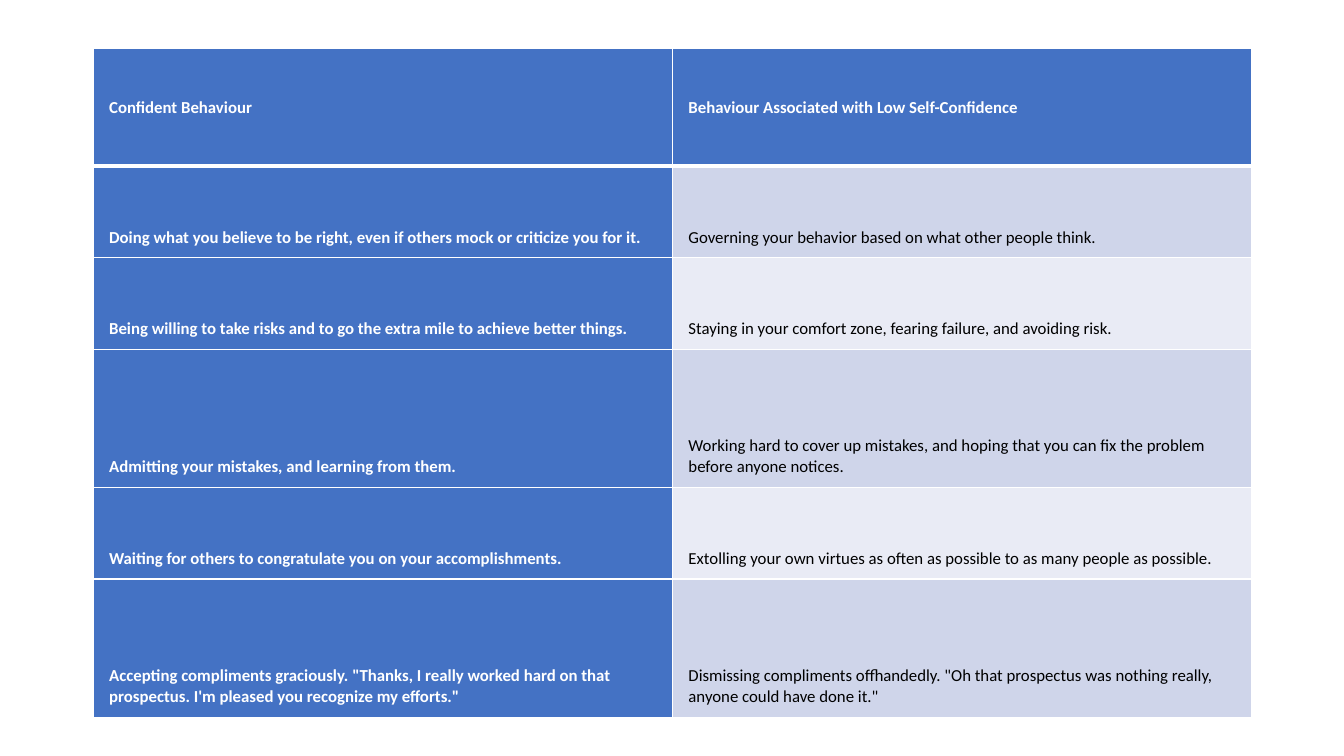
from pptx import Presentation
from pptx.dml.color import RGBColor as Rgb
from pptx.enum.text import MSO_ANCHOR as Anchor
from pptx.oxml.ns import qn
from pptx.util import Cm, Pt
from lxml.etree import SubElement as Sub

# Content: confident behaviour, low self-confidence
ROWS = [
    ("Confident Behaviour", "Behaviour Associated with Low Self-Confidence"),
    ("Doing what you believe to be right, even if others mock or criticize you for it.",
     "Governing your behavior based on what other people think."),
    ("Being willing to take risks and to go the extra mile to achieve better things.",
     "Staying in your comfort zone, fearing failure, and avoiding risk."),
    ("Admitting your mistakes, and learning from them.",
     "Working hard to cover up mistakes, and hoping that you can fix the problem before anyone notices."),
    ("Waiting for others to congratulate you on your accomplishments.",
     "Extolling your own virtues as often as possible to as many people as possible."),
    ("Accepting compliments graciously. \"Thanks, I really worked hard on that prospectus. "
     "I'm pleased you recognize my efforts.\"",
     "Dismissing compliments offhandedly. \"Oh that prospectus was nothing really, "
     "anyone could have done it.\""),
]
HEAD, LOW, TALL = 2.95, 2.31, 3.48
HIGH = [HEAD, LOW, LOW, TALL, LOW, TALL]
WIDE = 14.6
HEX = {"blue": "4472C4", "odd": "CFD5EA", "even": "E9EBF5",
       "white": "FFFFFF", "black": "000000"}


def edge(cell, side, width):
    """Draw one white cell border."""
    line = Sub(cell._tc.get_or_add_tcPr(), qn("a:ln" + side), w=str(Pt(width)))
    fill = Sub(line, qn("a:solidFill"))
    Sub(fill, qn("a:srgbClr"), val=HEX["white"])


def style(cell, text, row, col):
    """Fill one cell with its text, borders and colours."""
    head = row == 0
    bold = head or col == 0
    thick = {"T": 3 if row == 1 else 1, "B": 3 if head else 1}
    for side in "LRTB":
        edge(cell, side, thick.get(side, 1))
    shade = "blue" if bold else "odd" if row % 2 else "even"
    cell.fill.solid()
    cell.fill.fore_color.rgb = Rgb.from_string(HEX[shade])

    cell.vertical_anchor = Anchor.MIDDLE if head else Anchor.BOTTOM
    cell.margin_left = cell.margin_right = Cm(0.4)
    cell.margin_top = cell.margin_bottom = Cm(0.4 if head else 0.25)
    cell.text = text
    para = cell.text_frame.paragraphs[0]
    para.line_spacing = 1.07 if head else Pt(15)
    para.space_after = Pt(8)
    font = para.font
    font.name, font.size, font.bold = "Calibri", Pt(12), bold
    font.color.rgb = Rgb.from_string(HEX["white" if bold else "black"])


# Slide
deck = Presentation()
deck.slide_width, deck.slide_height = Cm(33.87), Cm(19.05)
slide = deck.slides.add_slide(deck.slide_layouts[6])

# Table
table = slide.shapes.add_table(len(ROWS), 2, Cm(2.35), Cm(1.23),
                               Cm(2 * WIDE), Cm(sum(HIGH))).table
for column in table.columns:
    column.width = Cm(WIDE)
for row, (texts, high) in enumerate(zip(ROWS, HIGH)):
    table.rows[row].height = Cm(high)
    for col, text in enumerate(texts):
        style(table.cell(row, col), text, row, col)

deck.save("out.pptx")
